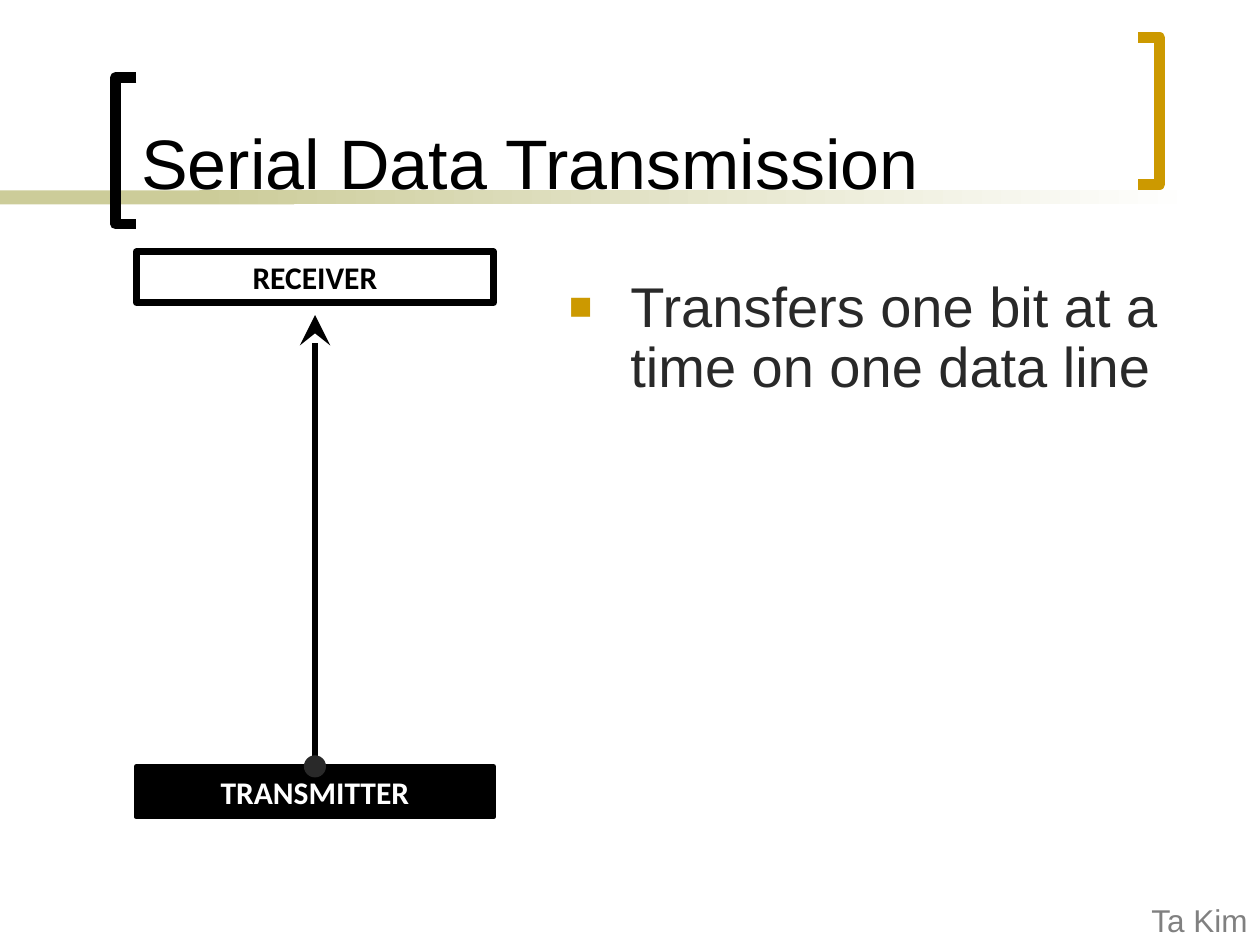
from lxml import etree
from pptx import Presentation
from pptx.dml.color import RGBColor
from pptx.enum.shapes import MSO_CONNECTOR, MSO_SHAPE
from pptx.enum.text import MSO_ANCHOR, PP_ALIGN
from pptx.oxml.ns import qn
from pptx.util import Cm, Pt

RECT, OVAL = MSO_SHAPE.RECTANGLE, MSO_SHAPE.OVAL
STRAIGHT = MSO_CONNECTOR.STRAIGHT
TOP, MIDDLE, BOTTOM = MSO_ANCHOR.TOP, MSO_ANCHOR.MIDDLE, MSO_ANCHOR.BOTTOM
LEFT, CENTER, RIGHT = PP_ALIGN.LEFT, PP_ALIGN.CENTER, PP_ALIGN.RIGHT

COLORS = {
    "black": "000000",
    "white": "FFFFFF",
    "sand": "CCCC99",
    "gold": "CC9900",
    "charcoal": "292929",
    "grey": "808080",
}


def rgb(name):
    return RGBColor.from_string(COLORS[name])


class SlideBuilder:
    """Holds the deck's style and the slide being filled; lengths are in cm."""

    heading_font = "Arial"
    label_font = "Calibri"

    def __init__(self, slide):
        self.shapes = slide.shapes

    def shape(self, kind, box, fill, line=None, weight=0):
        shape = self.shapes.add_shape(kind, *map(Cm, box))
        shape.shadow.inherit = False
        shape.fill.solid()
        shape.fill.fore_color.rgb = rgb(fill)
        self.outline(shape, line, weight)
        return shape

    def outline(self, shape, color, weight):
        if color is None:
            shape.line.fill.background()
        else:
            shape.line.color.rgb = rgb(color)
            shape.line.width = Pt(weight)

    def fading_band(self, box, start, end):
        band = self.shape(RECT, box, start)
        band.fill.gradient()
        band.fill.gradient_angle = 0
        for stop, color, position in zip(band.fill.gradient_stops, (start, end), (0, 1)):
            stop.color.rgb = rgb(color)
            stop.position = position

    def bracket(self, spine, tip, top, height, color):
        """Draw a square bracket whose two arms run from spine to tip."""
        bottom = top + height
        builder = self.shapes.build_freeform(Cm(tip), Cm(top))
        corners = [(spine, top), (spine, bottom), (tip, bottom)]
        builder.add_line_segments([(Cm(x), Cm(y)) for x, y in corners], close=False)
        bracket = builder.convert_to_shape()
        bracket.shadow.inherit = False
        bracket.fill.background()
        self.outline(bracket, color, 6)

    def set_text(self, shape, text, size, color, font, align=LEFT, anchor=TOP, bold=False):
        frame = shape.text_frame
        frame.word_wrap = True
        frame.vertical_anchor = anchor
        paragraph = frame.paragraphs[0]
        paragraph.alignment = align
        run = paragraph.add_run()
        run.text = text
        run.font.name = font
        run.font.size = Pt(size)
        run.font.bold = bold
        run.font.color.rgb = rgb(color)
        return paragraph

    def text(self, box, text, size, color, **layout):
        textbox = self.shapes.add_textbox(*map(Cm, box))
        return self.set_text(textbox, text, size, color, self.heading_font, **layout)

    def bullet(self, box, text, size, color, bullet_color):
        paragraph = self.text(box, text, size, color)
        paragraph.line_spacing = 0.9
        properties = paragraph._p.get_or_add_pPr()
        indent = Cm(1.24)
        properties.set("marL", str(indent))
        properties.set("indent", str(-indent))
        tint = etree.SubElement(properties, qn("a:buClr"))
        etree.SubElement(tint, qn("a:srgbClr"), val=COLORS[bullet_color])
        etree.SubElement(properties, qn("a:buSzPct"), val="70000")
        etree.SubElement(properties, qn("a:buFont"), typeface=self.heading_font)
        etree.SubElement(properties, qn("a:buChar"), char="■")

    def labelled_box(self, box, label, fill, ink, weight):
        shape = self.shape(RECT, box, fill, "black", weight)
        self.set_text(shape, label, 18, ink, self.label_font, CENTER, MIDDLE, bold=True)

    def arrow(self, start, end, color, weight):
        arrow = self.shapes.add_connector(STRAIGHT, *map(Cm, start + end))
        self.outline(arrow, color, weight)
        etree.SubElement(arrow.line._get_or_add_ln(), qn("a:tailEnd"),
                         type="stealth", w="lg", len="lg")
        etree.SubElement(arrow._element.spPr, qn("a:effectLst"))


def main():
    deck = Presentation()
    deck.slide_width, deck.slide_height = Cm(25.4), Cm(19.05)
    builder = SlideBuilder(deck.slides.add_slide(deck.slide_layouts[6]))

    band_top, band_height = 3.84, 0.28
    builder.shape(RECT, (0, band_top, 5.93, band_height), "sand")
    builder.fading_band((4.02, band_top, 20.11, band_height), "sand", "white")
    bracket_height = 2.96
    builder.bracket(2.33, 2.75, 1.56, bracket_height, "black")
    builder.bracket(23.38, 22.95, 0.76, bracket_height, "gold")

    builder.text((2.6, 0.28, 19.9, 3.94), "Serial Data Transmission", 40, "black",
                 anchor=BOTTOM)
    builder.bullet((11.22, 5.5, 12.7, 11.43),
                   "Transfers one bit at a time on one data line", 32, "charcoal", "gold")

    box_left, box_width, box_height = 2.75, 7.2, 1.02
    receiver_top, transmitter_top = 5.08, 15.45
    line_x, dot_size = box_left + box_width / 2, 0.42
    builder.labelled_box((box_left, transmitter_top, box_width, box_height),
                         "TRANSMITTER", "black", "white", 2.75)
    builder.arrow((line_x, transmitter_top), (line_x, 6.35), "black", 3.5)
    builder.shape(OVAL, (line_x - dot_size / 2, transmitter_top - dot_size / 2,
                         dot_size, dot_size), "charcoal", "charcoal", 0.75)
    builder.labelled_box((box_left, receiver_top, box_width, box_height),
                         "RECEIVER", "white", "black", 4)

    builder.text((20.95, 18.03, 4.45, 1.02), "Ta Kim", 18, "grey", align=RIGHT)
    deck.save("out.pptx")


if __name__ == "__main__":
    main()
